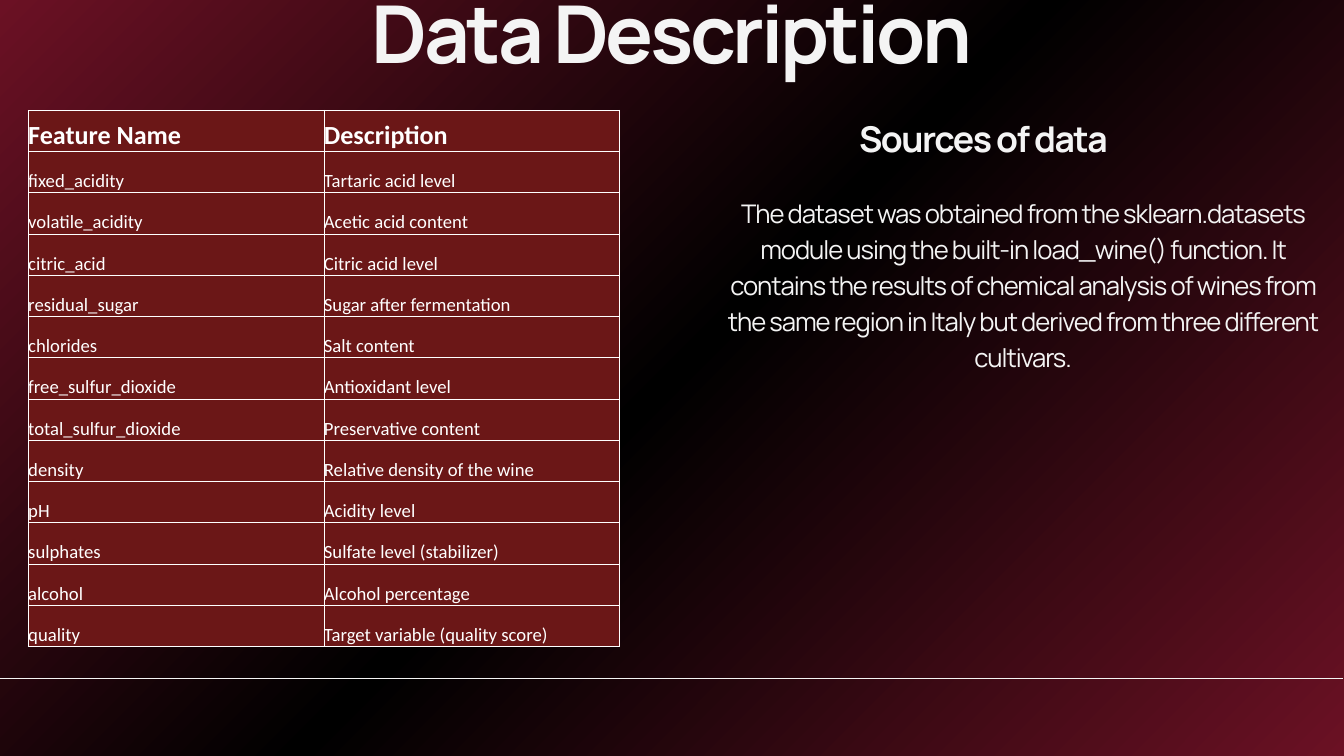
from dataclasses import dataclass

from lxml.etree import SubElement
from pptx import Presentation
from pptx.dml.color import RGBColor
from pptx.enum.shapes import MSO_CONNECTOR
from pptx.enum.text import MSO_ANCHOR, PP_ALIGN
from pptx.oxml.ns import qn
from pptx.slide import Slide
from pptx.util import Inches, Pt

WIDTH, HEIGHT = 20, 11.25
COLORS = {
    "wine": "6B1124",
    "black": "000000",
    "cell": "6B1717",
    "text": "F4F4F4",
    "white": "FFFFFF",
}
FEATURES = [
    ("Feature Name", "Description"),
    ("fixed_acidity", "Tartaric acid level"),
    ("volatile_acidity", "Acetic acid content"),
    ("citric_acid", "Citric acid level"),
    ("residual_sugar", "Sugar after fermentation"),
    ("chlorides", "Salt content"),
    ("free_sulfur_dioxide", "Antioxidant level"),
    ("total_sulfur_dioxide", "Preservative content"),
    ("density", "Relative density of the wine"),
    ("pH", "Acidity level"),
    ("sulphates", "Sulfate level (stabilizer)"),
    ("alcohol", "Alcohol percentage"),
    ("quality", "Target variable (quality score)"),
]


@dataclass
class Area:
    """A rectangle in percent of the slide's width and height."""
    left: float
    top: float
    width: float
    height: float

    def lengths(self) -> tuple:
        return (Inches(self.left * WIDTH / 100), Inches(self.top * HEIGHT / 100),
                Inches(self.width * WIDTH / 100), Inches(self.height * HEIGHT / 100))


@dataclass
class TextBlock:
    text: str
    area: Area
    size: float
    line_spacing: float
    tracking: float
    bold: bool = False


TEXT_BLOCKS = [
    TextBlock("Data Description", Area(10.85, 0.53, 78.3, 11.56), 85.5, 81.2, -3.6, True),
    TextBlock("Sources of data", Area(59.65, 14.58, 27.05, 6.67), 38.1, 53.3, -1.6, True),
    TextBlock(
        "The dataset was obtained from the sklearn.datasets module using the built-in "
        "load_wine() function. It contains the results of chemical analysis of wines from "
        "the same region in Italy but derived from three different cultivars.",
        Area(53.95, 25.51, 44.35, 23.64), 27.5, 38.5, -1.1),
]
TABLE_AREA = Area(2.1, 14.58, 44, 70.93)


def color(name: str) -> RGBColor:
    return RGBColor.from_string(COLORS[name])


def set_format(target, values: dict) -> None:
    for name, value in values.items():
        setattr(target, name, value)


def set_font(font, name: str, size: float, bold: bool, color_name: str) -> None:
    set_format(font, {"name": name, "size": Pt(size), "bold": bold})
    font.color.rgb = color(color_name)


def no_margins() -> dict:
    return {f"margin_{side}": 0 for side in ("left", "top", "right", "bottom")}


def draw_background(slide: Slide) -> None:
    fill = slide.background.fill
    fill.gradient()
    fill.gradient_angle = 315
    stops = fill.gradient_stops[0]._gs.getparent()
    for stop in list(stops):
        stops.remove(stop)
    for position, name in ((0, "wine"), (50, "black"), (100, "wine")):
        stop = SubElement(stops, qn("a:gs"), pos=str(position * 1000))
        SubElement(stop, qn("a:srgbClr"), val=COLORS[name])


def draw_rule(slide: Slide, top: float) -> None:
    left, y, width, _ = Area(-0.1, top, 100, 0).lengths()
    rule = slide.shapes.add_connector(MSO_CONNECTOR.STRAIGHT, left, y, left + width, y)
    rule.line.color.rgb = color("text")
    rule.line.width = Pt(0.75)
    SubElement(rule._element.spPr, qn("a:effectLst"))


def draw_text(slide: Slide, block: TextBlock) -> None:
    frame = slide.shapes.add_textbox(*block.area.lengths()).text_frame
    set_format(frame, no_margins() | {"word_wrap": True})
    paragraph = frame.paragraphs[0]
    set_format(paragraph, {"alignment": PP_ALIGN.CENTER,
                           "line_spacing": Pt(block.line_spacing)})
    run = paragraph.add_run()
    run.text = block.text
    set_font(run.font, "Manrope", block.size, block.bold, "text")
    run._r.get_or_add_rPr().set("spc", str(round(block.tracking * 100)))


def draw_borders(cell) -> None:
    properties = cell._tc.get_or_add_tcPr()
    for index, side in enumerate(("lnL", "lnR", "lnT", "lnB")):
        border = SubElement(properties, qn(f"a:{side}"), w=str(Pt(1)))
        border_fill = SubElement(border, qn("a:solidFill"))
        SubElement(border_fill, qn("a:srgbClr"), val=COLORS["white"])
        properties.insert(index, border)


def draw_table(slide: Slide, rows: list, area: Area) -> None:
    left, top, width, height = area.lengths()
    table = slide.shapes.add_table(len(rows), len(rows[0]), left, top, width, height).table
    set_format(table, {"first_row": False, "horz_banding": False})
    for row_index, texts in enumerate(rows):
        is_header = row_index == 0
        for column_index, text in enumerate(texts):
            cell = table.cell(row_index, column_index)
            set_format(cell, no_margins() | {"vertical_anchor": MSO_ANCHOR.BOTTOM})
            cell.fill.solid()
            cell.fill.fore_color.rgb = color("cell")
            draw_borders(cell)
            run = cell.text_frame.paragraphs[0].add_run()
            run.text = text
            set_font(run.font, "Calibri", 28 if is_header else 20, is_header, "white")


def main() -> None:
    presentation = Presentation()
    set_format(presentation, {"slide_width": Inches(WIDTH), "slide_height": Inches(HEIGHT)})
    slide = presentation.slides.add_slide(presentation.slide_layouts[6])

    # Backdrop and footer rule
    draw_background(slide)
    draw_rule(slide, 89.69)

    # Title and data sources
    for block in TEXT_BLOCKS:
        draw_text(slide, block)

    # Feature table
    draw_table(slide, FEATURES, TABLE_AREA)

    presentation.save("out.pptx")


if __name__ == "__main__":
    main()
